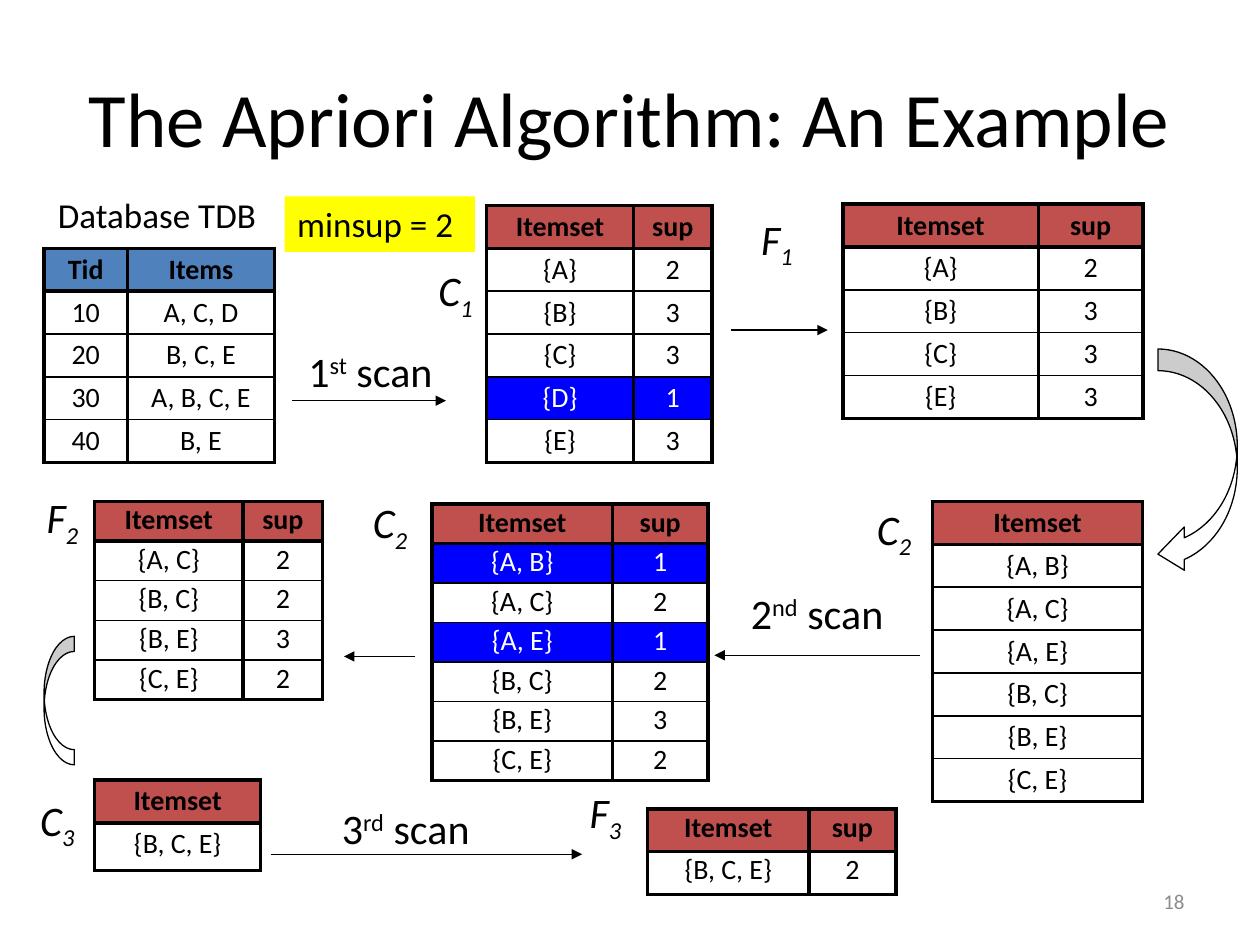
"""Build the slide that walks through an example of the Apriori algorithm."""
from lxml.etree import SubElement
from pptx import Presentation
from pptx.dml.color import RGBColor
from pptx.enum.shapes import MSO_CONNECTOR as Link, MSO_SHAPE as Shape
from pptx.enum.text import MSO_ANCHOR as Anchor, PP_ALIGN as Align
from pptx.oxml import parse_xml
from pptx.oxml.ns import nsdecls, qn
from pptx.util import Inches, Pt

BLACK = RGBColor(0x00, 0x00, 0x00)
WHITE = RGBColor(0xFF, 0xFF, 0xFF)
GRAY = RGBColor(0x8C, 0x8C, 0x8C)
BLUE = RGBColor(0x4F, 0x81, 0xBD)
RED = RGBColor(0xC0, 0x50, 0x4D)
DEEP = RGBColor(0x00, 0x00, 0xFF)
YELLOW = RGBColor(0xFF, 0xFF, 0x00)


def add_run(para, text, size, color=BLACK, bold=False, italic=False, base=0):
    run = para.add_run()
    run.text = text
    font = run.font
    font.name, font.size = "Calibri", Pt(size)
    font.bold, font.italic = bold, italic
    font.color.rgb = color
    if base:
        run._r.get_or_add_rPr().set("baseline", str(base * 1000))


def add_box(left, top, width, height, align=Align.CENTER, wrap=False):
    box = slide.shapes.add_textbox(Inches(left), Inches(top), Inches(width), Inches(height))
    frame = box.text_frame
    frame.word_wrap = wrap
    frame.vertical_anchor = Anchor.MIDDLE
    para = frame.paragraphs[0]
    para.alignment = align
    return para


deck = Presentation()
deck.slide_width, deck.slide_height = Inches(10), Inches(7.5)
slide = deck.slides.add_slide(deck.slide_layouts[6])

add_run(add_box(0.5, 0.3, 9, 1.25, wrap=True), "The Apriori Algorithm: An Example", 44)
add_run(add_box(7.17, 6.95, 2.33, 0.4, Align.RIGHT, True), "18", 12, GRAY)
add_run(add_box(0.32, 1.48, 1.85, 0.44), "Database TDB", 20)

scans = [
    (2.34, 2.69, 1.2, "1", "st"),
    (5.83, 4.61, 1.31, "2", "nd"),
    (2.6, 6.32, 1.24, "3", "rd"),
]
for left, top, width, digit, suffix in scans:
    para = add_box(left, top, width, 0.5)
    add_run(para, digit, 24)
    add_run(para, suffix, 24, base=30)
    add_run(para, " scan", 24)

labels = [
    (3.37, 2.08, "C", "1"), (5.92, 1.67, "F", "1"),
    (0.25, 3.88, "F", "2"), (2.85, 3.92, "C", "2"), (6.85, 3.97, "C", "2"),
    (0.21, 6.28, "C", "3"), (4.56, 6.22, "F", "3"),
]
for left, top, letter, index in labels:
    para = add_box(left, top, 0.49, 0.5)
    add_run(para, letter, 24, italic=True)
    add_run(para, index, 24, italic=True, base=-25)

arrows = [
    (2.32, 3.54, 3.18), (5.8, 6.57, 2.62), (7.3, 5.67, 5.2),
    (3.29, 2.73, 5.21), (2.15, 4.62, 6.78),
]
for start, end, level in arrows:
    arrow = slide.shapes.add_connector(
        Link.STRAIGHT, Inches(start), Inches(level), Inches(end), Inches(level))
    arrow.line.color.rgb = BLACK
    arrow.line.width = Pt(0.75)
    props = arrow._element.spPr
    SubElement(props.find(qn("a:ln")), qn("a:tailEnd"), type="triangle")
    SubElement(props, qn("a:effectLst"))

curves = [
    (Shape.CURVED_LEFT_ARROW, 9.19, 2.77, 0.63, 1.8, (0.273, 0.546, 0.333)),
    (Shape.CURVED_RIGHT_ARROW, 0.35, 5.05, 0.24, 1.02, (0.566, 0.5, 0)),
]
for kind, left, top, width, height, adjusts in curves:
    curve = slide.shapes.add_shape(
        kind, Inches(left), Inches(top), Inches(width), Inches(height))
    curve.shadow.inherit = False
    curve.fill.solid()
    curve.fill.fore_color.rgb = WHITE
    curve.line.color.rgb = BLACK
    curve.line.width = Pt(0.75)
    for i, value in enumerate(adjusts):
        curve.adjustments[i] = value

tables = [
    (0.35, 1.97, 1.7, (0.66, 1.17), 0.34, 0.9, BLUE,
     ["Tid|Items", "10|A, C, D", "20|B, C, E", "30|A, B, C, E", "40|B, E"]),
    (3.86, 1.63, 2.04, (1.17, 0.62), 0.34, 0.9, RED,
     ["Itemset|sup", "{A}|2", "{B}|3", "{C}|3", "{D}|1", "{E}|3"]),
    (6.69, 1.62, 1.7, (1.55, 0.83), 0.34, 0.9, RED,
     ["Itemset|sup", "{A}|2", "{B}|3", "{C}|3", "{E}|3"]),
    (7.4, 3.98, 2.38, (1.67,), 0.34, 0.9, RED,
     ["Itemset", "{A, B}", "{A, C}", "{A, E}", "{B, C}", "{B, E}", "{C, E}"]),
    (3.43, 4, 2.19, (1.43, 0.76), 0.31, 0.8, RED,
     ["Itemset|sup", "{A, B}|1", "{A, C}|2", "{A, E}|1", "{B, C}|2", "{B, E}|3", "{C, E}|2"]),
    (0.75, 3.98, 1.57, (1.18, 0.63), 0.31, 0.8, RED,
     ["Itemset|sup", "{A, C}|2", "{B, C}|2", "{B, E}|3", "{C, E}|2"]),
    (0.75, 6.19, 0.72, (1.32,), 0.34, 0.9, RED, ["Itemset", "{B, C, E}"]),
    (5.14, 6.42, 0.68, (1.28, 0.69), 0.34, 0.8, RED, ["Itemset|sup", "{B, C, E}|2"]),
]
for left, top, height, widths, head, spacing, tint, rows in tables:
    last = len(rows) - 1
    table = slide.shapes.add_table(
        len(rows), len(widths), Inches(left), Inches(top),
        Inches(sum(widths)), Inches(height)).table
    table.first_row = table.horz_banding = False
    for c, width in enumerate(widths):
        table.columns[c].width = Inches(width)
    for r, row in enumerate(rows):
        table.rows[r].height = Inches(head if r == 0 else (height - head) / last)
        texts = row.split("|")
        pruned = texts[-1] == "1"
        for c, text in enumerate(texts):
            cell = table.cell(r, c)
            cell.margin_left = cell.margin_right = Inches(0.13)
            cell.margin_top = cell.margin_bottom = Inches(0.05)
            para = cell.text_frame.paragraphs[0]
            para.alignment = Align.CENTER
            para.line_spacing = spacing
            add_run(para, text, 16, WHITE if pruned else BLACK, bold=r == 0)
            if r == 0 or pruned:
                cell.fill.solid()
                cell.fill.fore_color.rgb = tint if r == 0 else DEEP
            else:
                cell.fill.background()
            sides = {"L": 2.25, "R": 2.25, "T": 2.25 if r < 2 else 1,
                     "B": 2.25 if r in (0, last) else 1}
            for i, (side, weight) in enumerate(sides.items()):
                edge = parse_xml(
                    f'<a:ln{side} {nsdecls("a")} w="{Pt(weight)}"><a:solidFill>'
                    f'<a:srgbClr val="{BLACK}"/></a:solidFill></a:ln{side}>')
                cell._tc.get_or_add_tcPr().insert(i, edge)

note = slide.shapes.add_shape(
    Shape.RECTANGLE, Inches(2.26), Inches(1.56), Inches(1.51), Inches(0.44))
note.shadow.inherit = False
note.fill.solid()
note.fill.fore_color.rgb = YELLOW
note.line.fill.background()
note.text_frame.word_wrap = True
note.text_frame.vertical_anchor = Anchor.TOP
para = note.text_frame.paragraphs[0]
para.alignment = Align.LEFT
add_run(para, "minsup = 2", 20)

deck.save("out.pptx")
